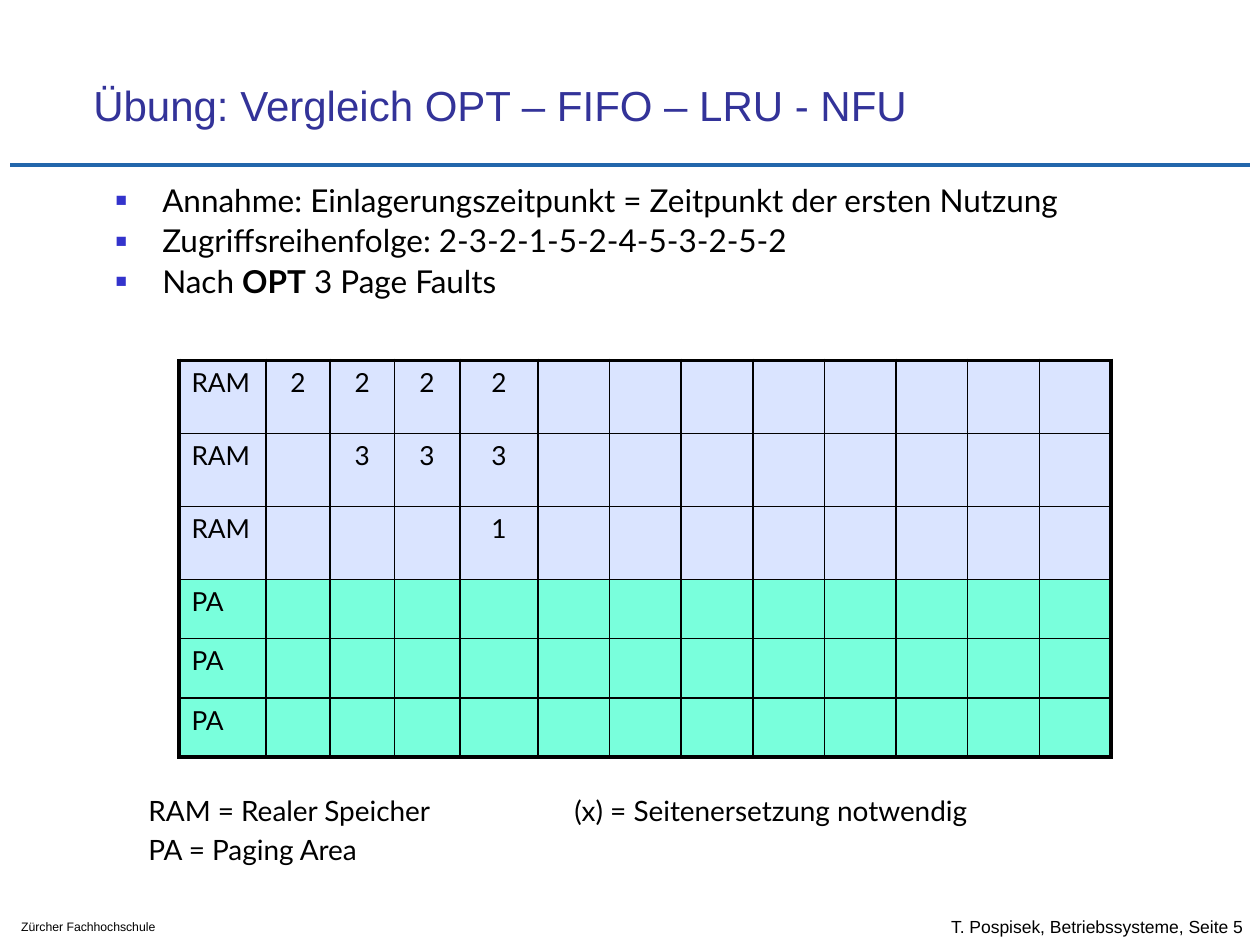
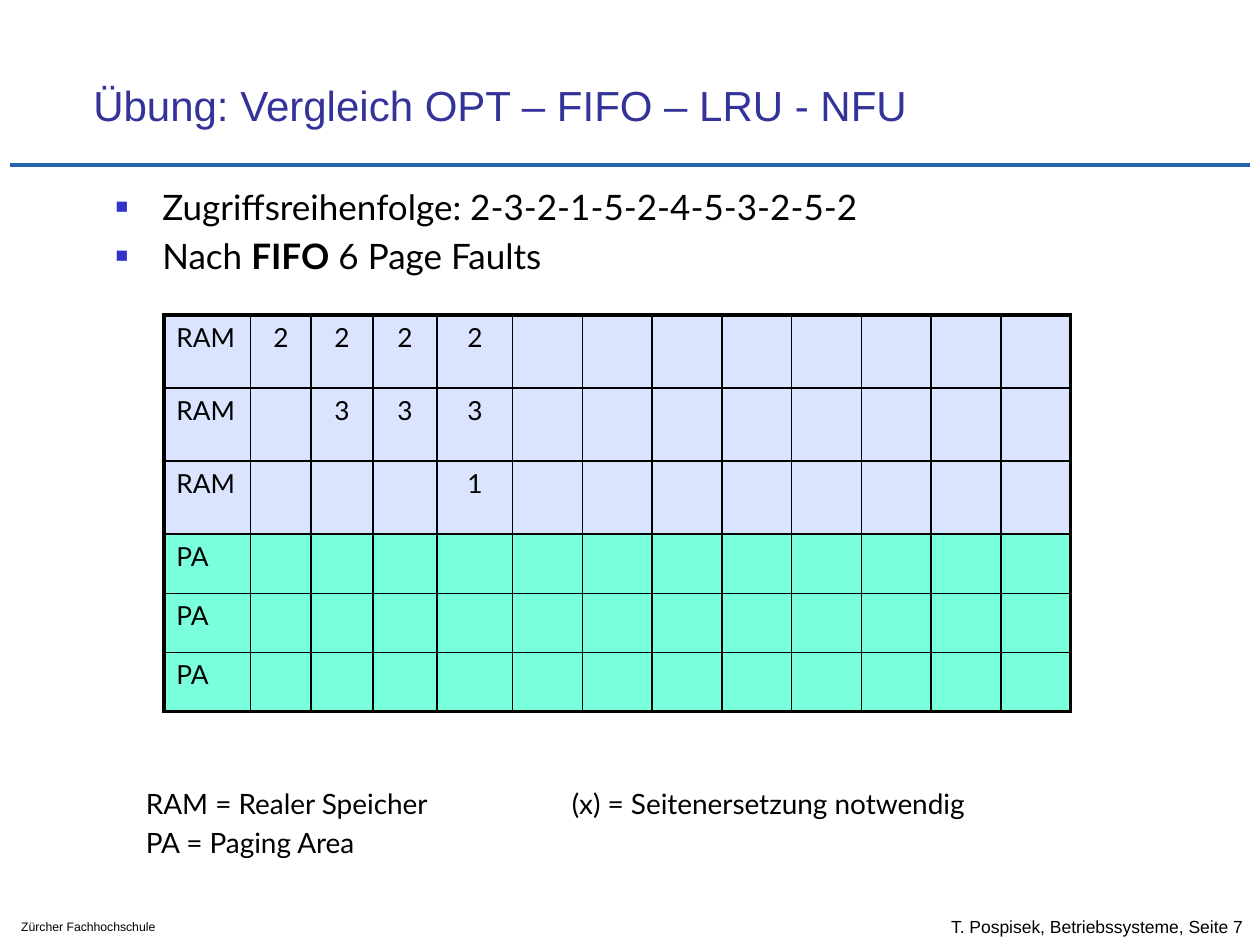
from lxml import etree
from pptx import Presentation
from pptx.dml.color import RGBColor
from pptx.enum.shapes import MSO_CONNECTOR
from pptx.enum.text import MSO_ANCHOR, PP_ALIGN
from pptx.oxml.ns import qn
from pptx.util import Inches, Pt

STRAIGHT = MSO_CONNECTOR.STRAIGHT
BOTTOM, MIDDLE, TOP = MSO_ANCHOR.BOTTOM, MSO_ANCHOR.MIDDLE, MSO_ANCHOR.TOP
LEFT, CENTER = PP_ALIGN.LEFT, PP_ALIGN.CENTER

COLORS = {
    "text": "000000",
    "title": "333399",
    "rule": "2266AB",
    "bullet": "3333CC",
    "ram": "DAE4FF",
    "paging": "79FFDC",
}
HEADING_FONT, BODY_FONT = "Arial", "Lato"
THIN, THICK = Pt(0.96), Pt(2.21)

TITLE = "Übung: Vergleich OPT – FIFO – LRU - NFU"
ACCESS_ORDER = [("Zugriffsreihenfolge: 2-3-2-1-5-2-4-5-3-2-5-2", False)]
LEGEND = ["RAM = Realer Speicher\t(x) = Seitenersetzung notwendig", "PA = Paging Area"]

# Memory contents: label, fill, row height, page held after each access
ACCESS_COUNT = 12
MEMORY = [
    ("RAM", "ram", 0.58, ["2", "2", "2", "2"]),
    ("RAM", "ram", 0.58, ["", "3", "3", "3"]),
    ("RAM", "ram", 0.58, ["", "", "", "1"]),
] + [("PA", "paging", 0.47, [])] * 3


def add_xml(parent, tag, **attributes):
    return etree.SubElement(parent, qn(tag), attributes)


class Deck:
    def __init__(self):
        self.prs = Presentation()
        self.prs.slide_width, self.prs.slide_height = Inches(10), Inches(7.5)
        self.slide = None

    def style(self, paragraph, size, font=BODY_FONT, color="text"):
        paragraph.font.size = Pt(size)
        paragraph.font.name = font
        paragraph.font.color.rgb = RGBColor.from_string(COLORS[color])

    def new_slide(self, title, page):
        self.slide = self.prs.slides.add_slide(self.prs.slide_layouts[5])
        self.title(title)
        self.rule(0.08, 9.92, 1.31)
        self.footer(f"T. Pospisek, Betriebssysteme, Seite {page}", 10,
                    (7.45, 7.2, 2.55, 0.3), MIDDLE)
        self.footer("Zürcher Fachhochschule", 7, (0.07, 7.25, 1.72, 0.22), TOP)

    def title(self, text):
        heading = self.slide.shapes.title
        heading.left, heading.top = Inches(0.64), Inches(0.33)
        heading.width, heading.height = Inches(8.52), Inches(0.75)
        frame = heading.text_frame
        frame.text = text
        frame.vertical_anchor = BOTTOM
        frame.paragraphs[0].alignment = LEFT
        self.style(frame.paragraphs[0], 24, HEADING_FONT, "title")

    def rule(self, start, end, y):
        line = self.slide.shapes.add_connector(
            STRAIGHT, Inches(start), Inches(y), Inches(end), Inches(y))
        line.line.color.rgb = RGBColor.from_string(COLORS["rule"])
        line.line.width = Pt(2.5)
        add_xml(line._element.spPr, "a:effectLst")

    def text_frame(self, box, anchor=TOP):
        frame = self.slide.shapes.add_textbox(*map(Inches, box)).text_frame
        frame.word_wrap = True
        frame.vertical_anchor = anchor
        return frame

    def paragraphs(self, frame, count, space_before):
        for index in range(count):
            paragraph = frame.add_paragraph() if index else frame.paragraphs[0]
            if index:
                paragraph.space_before = Pt(space_before)
            yield paragraph

    def footer(self, text, size, box, anchor):
        frame = self.text_frame(box, anchor)
        frame.text = text
        self.style(frame.paragraphs[0], size, HEADING_FONT)

    def bullets(self, items, size, line_spacing):
        """Each item is a list of (text, bold) runs."""
        frame = self.text_frame((0.81, 1.42, 8.36, 1.08))
        for paragraph, runs in zip(self.paragraphs(frame, len(items), size / 5), items):
            paragraph.line_spacing = line_spacing
            properties = paragraph._p.get_or_add_pPr()
            properties.set("marL", str(Inches(0.38)))
            properties.set("indent", str(Inches(-0.37)))
            color = add_xml(properties, "a:buClr")
            add_xml(color, "a:srgbClr", val=COLORS["bullet"])
            add_xml(properties, "a:buSzPct", val="60000")
            add_xml(properties, "a:buFont", typeface=HEADING_FONT)
            add_xml(properties, "a:buChar", char="■")
            self.style(paragraph, size)
            for text, bold in runs:
                run = paragraph.add_run()
                run.text = text
                if bold:
                    run.font.bold = True

    def legend(self, left, top):
        frame = self.text_frame((left, top, 8, 0.67))
        for paragraph, text in zip(self.paragraphs(frame, len(LEGEND), 3.2), LEGEND):
            tabs = add_xml(paragraph._p.get_or_add_pPr(), "a:tabLst")
            add_xml(tabs, "a:tab", pos=str(Inches(3.38)), algn="l")
            paragraph.text = text
            self.style(paragraph, 16)

    def cell_borders(self, cell, outer_sides):
        properties = cell._tc.get_or_add_tcPr()
        for side in "LRTB":
            width = THICK if side in outer_sides else THIN
            border = add_xml(properties, f"a:ln{side}", w=str(width))
            fill = add_xml(border, "a:solidFill")
            add_xml(fill, "a:srgbClr", val=COLORS["text"])

    def memory_table(self, left, top, width, first_widths):
        """The columns after first_widths share the remaining width equally."""
        rows, columns = len(MEMORY), ACCESS_COUNT + 1
        rest = columns - len(first_widths)
        widths = first_widths + [(width - sum(first_widths)) / rest] * rest
        height = sum(row[2] for row in MEMORY)
        table = self.slide.shapes.add_table(
            rows, columns, *map(Inches, (left, top, width, height))).table
        table.first_row = table.horz_banding = False
        for column, column_width in zip(table.columns, widths):
            column.width = Inches(column_width)

        for r, (label, fill, row_height, pages) in enumerate(MEMORY):
            table.rows[r].height = Inches(row_height)
            texts = [label] + pages + [""] * (ACCESS_COUNT - len(pages))
            for c, text in enumerate(texts):
                cell = table.cell(r, c)
                outer = {"T": r == 0, "B": r == rows - 1,
                         "L": c == 0, "R": c == columns - 1}
                self.cell_borders(cell, [side for side in outer if outer[side]])
                cell.fill.solid()
                cell.fill.fore_color.rgb = RGBColor.from_string(COLORS[fill])
                cell.text = text
                paragraph = cell.text_frame.paragraphs[0]
                paragraph.alignment = CENTER if c else LEFT
                self.style(paragraph, 15)


def main():
    deck = Deck()

    # OPT exercise
    deck.new_slide(TITLE, 5)
    deck.bullets([
        [("Annahme: Einlagerungszeitpunkt = Zeitpunkt der ersten Nutzung", False)],
        ACCESS_ORDER,
        [("Nach ", False), ("OPT", True), (" 3 Page Faults", False)],
    ], 18, 0.9)
    deck.legend(1.08, 6.25)
    deck.memory_table(1.42, 2.86, 7.4, [0.69, 0.51, 0.51, 0.52, 0.62])

    # FIFO exercise
    deck.new_slide(TITLE, 7)
    deck.bullets([
        ACCESS_ORDER,
        [("Nach ", False), ("FIFO", True), (" 6 Page Faults", False)],
    ], 20, 1.0)
    deck.legend(1.06, 6.19)
    deck.memory_table(1.3, 2.5, 7.2, [0.69, 0.48, 0.49, 0.51, 0.6])

    deck.prs.save("out.pptx")


if __name__ == "__main__":
    main()
